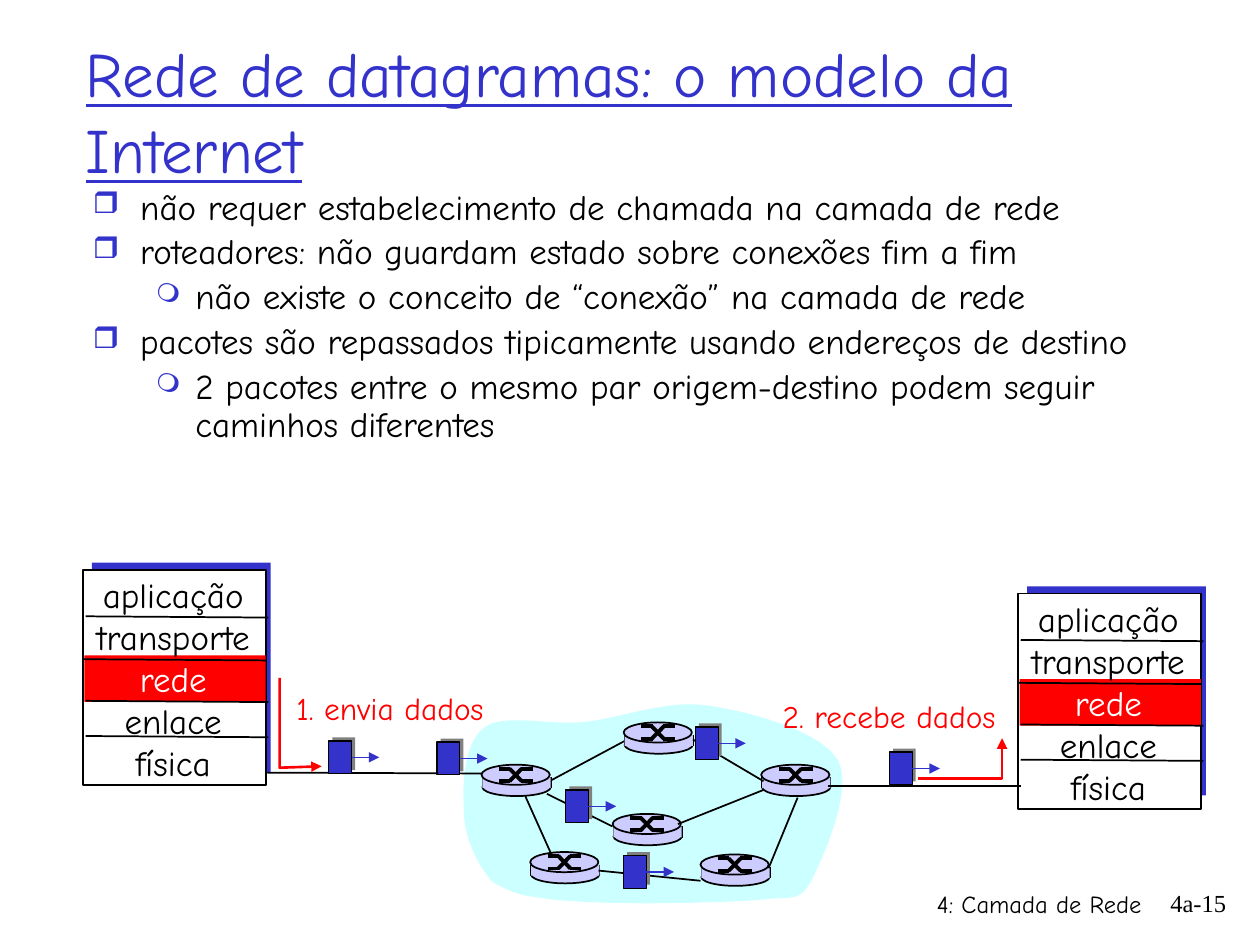
"""Build the slide about the datagram network model of the Internet."""
from lxml import etree
from pptx import Presentation
from pptx.dml.color import RGBColor
from pptx.enum.shapes import MSO_CONNECTOR, MSO_SHAPE
from pptx.enum.text import MSO_ANCHOR, MSO_AUTO_SIZE, PP_ALIGN
from pptx.oxml.ns import qn
from pptx.util import Pt

rgb = RGBColor.from_string
RECT, OVAL = MSO_SHAPE.RECTANGLE, MSO_SHAPE.OVAL
FONT = "Comic Neue"
BLACK, WHITE, BLUE, RED = "000000", "FFFFFF", "3333CC", "FF0000"
LILAC, CYAN, GRAY = "CCCCFF", "CCFFFF", "808080"


def box(shapes, kind, x, y, w, h, fill, width=0):
    sp = shapes.add_shape(kind, Pt(x), Pt(y), Pt(w), Pt(h))
    sp.shadow.inherit = False
    sp.fill.solid()
    sp.fill.fore_color.rgb = rgb(fill)
    if width:
        sp.line.color.rgb = rgb(BLACK)
        sp.line.width = Pt(width)
    else:
        sp.line.fill.background()
    return sp


def wire(shapes, points, color=BLACK, width=1, arrow=False):
    pts = [(Pt(x), Pt(y)) for x, y in points]
    if len(pts) == 2:
        sp = shapes.add_connector(MSO_CONNECTOR.STRAIGHT, *pts[0], *pts[1])
    else:
        fb = shapes.build_freeform(*pts[0])
        fb.add_line_segments(pts[1:], close=False)
        sp = fb.convert_to_shape()
        sp.fill.background()
    sp.line.color.rgb = rgb(color)
    sp.line.width = Pt(width)
    if arrow:
        ln = sp.line._get_or_add_ln()
        etree.SubElement(ln, qn("a:tailEnd"), type="triangle")
    etree.SubElement(sp._element.spPr, qn("a:effectLst"))
    return sp


prs = Presentation()
prs.slide_width, prs.slide_height = Pt(720), Pt(540)
s = prs.slides.add_slide(prs.slide_layouts[5])
shapes = s.shapes

title = shapes.title
title.left, title.top, title.width, title.height = Pt(41.8), Pt(18), Pt(648), Pt(90)
tf = title.text_frame
tf.text = "Rede de datagramas: o modelo da Internet"
tf.auto_size = MSO_AUTO_SIZE.NONE
tf.vertical_anchor = MSO_ANCHOR.MIDDLE
p = tf.paragraphs[0]
p.alignment = PP_ALIGN.LEFT
f = p.runs[0].font
f.name, f.size, f.underline = FONT, Pt(36), True
f.color.rgb = rgb(BLUE)

bullets = [
    (0, "não requer estabelecimento de chamada na camada de rede"),
    (0, "roteadores: não guardam estado sobre conexões fim a fim"),
    (1, "não existe o conceito de “conexão” na camada de rede"),
    (0, "pacotes são repassados tipicamente usando endereços de destino"),
    (1, "2 pacotes entre o mesmo par origem-destino podem seguir caminhos diferentes"),
]
marks = [(27, -27, "85000", "❒"), (58.5, -22.5, "75000", "❍")]
tf = shapes.add_textbox(Pt(46), Pt(105), Pt(629), Pt(179)).text_frame
tf.word_wrap = True
tf.text = "\n".join(text for level, text in bullets)
for i, (p, (level, text)) in enumerate(zip(tf.paragraphs, bullets)):
    left, indent, size, char = marks[level]
    p.level = level
    p.line_spacing = 0.9
    if i:
        p.space_before = Pt(4)
    pPr = p._p.get_or_add_pPr()
    pPr.set("marL", str(Pt(left)))
    pPr.set("indent", str(Pt(indent)))
    clr = etree.SubElement(pPr, qn("a:buClr"))
    etree.SubElement(clr, qn("a:srgbClr"), val=BLUE)
    etree.SubElement(pPr, qn("a:buSzPct"), val=size)
    etree.SubElement(pPr, qn("a:buChar"), char=char)
    f = p.runs[0].font
    f.name, f.size = FONT, Pt(20)
    f.color.rgb = rgb(BLACK)

cloud_start = (265, 460)
cloud_curves = [
    ((264.2, 445.7), (265.7, 423.4), (277.2, 415.4)),
    ((288.7, 407.5), (312.5, 414.7), (334.1, 412.6)),
    ((355, 410.4), (380.9, 399.6), (404.6, 403.2)),
    ((429.1, 406.8), (468.7, 417.6), (478.8, 434.2)),
    ((488.2, 450.7), (470.2, 490.3), (463.7, 503.3)),
    ((456.5, 516.2), (452.2, 511.9), (436.3, 514.1)),
    ((420.5, 515.5), (388.8, 516.2), (368.6, 516.2)),
    ((349.2, 516.2), (330.5, 515.5), (316.1, 514.1)),
    ((301, 511.9), (296.6, 512.6), (281.5, 504)),
    ((273.6, 495.4), (264.2, 478.1), cloud_start),
]
outline, a = [], cloud_start
for b, c, d in cloud_curves:
    for t in [k / 10 for k in range(1, 11)]:
        u = 1 - t
        outline.append([
            Pt(u**3 * a[n] + 3 * u * u * t * b[n] + 3 * u * t * t * c[n] + t**3 * d[n])
            for n in (0, 1)
        ])
    a = d
fb = shapes.build_freeform(Pt(cloud_start[0]), Pt(cloud_start[1]))
fb.add_line_segments(outline, close=True)
cloud = fb.convert_to_shape()
cloud.shadow.inherit = False
cloud.fill.solid()
cloud.fill.fore_color.rgb = rgb(CYAN)
cloud.line.fill.background()

wire(shapes, [(151.2, 441.5), (275.5, 442)])
wire(shapes, [(314, 446.4), (357, 423.4)])

routers = [(275.2, 437), (303, 486.9), (356.4, 412.8),
           (350.1, 465.1), (400.3, 488.3), (435, 437)]
for x, y in routers:
    g = shapes.add_group_shape().shapes
    box(g, OVAL, x + 0.5, y + 7.9, 39, 10, LILAC, 1)
    for side in (x + 0.5, x + 39.5):
        wire(g, [(side, y + 7.2), (side, y + 13.5)])
    box(g, RECT, x + 0.5, y + 7.2, 39, 6.3, LILAC)
    box(g, OVAL, x, y, 39, 11.5, LILAC, 1)
    for y1, y2 in ((y + 2.2, y + 9.4), (y + 9.4, y + 2.2)):
        wire(g, [(x + 10, y1), (x + 16.5, y1)], width=2.25)
        wire(g, [(x + 16, y1), (x + 23, y2)], width=2.25)
        wire(g, [(x + 22.5, y2), (x + 29.3, y2)], width=2.25)

links = [
    [(396, 422.6), (436.3, 446.4)],
    [(312.5, 453.6), (350, 472.3)],
    [(387.4, 470.9), (436.3, 451.4)],
    [(439.2, 496.1), (455.8, 455.8)],
    [(400.3, 503.3), (342, 497.5)],
    [(315.4, 488.9), (300.2, 455)],
]
for link in links:
    wire(shapes, link)

layers = ["aplicação", "transporte", "rede", "enlace", "física"]
for x, y in [(47.5, 325.6), (581.9, 339.1)]:
    g = shapes.add_group_shape().shapes
    box(g, RECT, x + 5, y - 4, 102.2, 119.5, BLUE)
    box(g, RECT, x, y, 104.4, 123.1, WHITE, 1)
    box(g, RECT, x + 0.7, y + 49, 103.7, 26.6, RED)
    tf = g.add_textbox(Pt(x - 10), Pt(y - 1.4), Pt(123), Pt(127.4)).text_frame
    tf.word_wrap = True
    tf.text = "\n".join(layers)
    for p in tf.paragraphs:
        p.alignment = PP_ALIGN.CENTER
        f = p.runs[0].font
        f.name, f.size = FONT, Pt(20)
        f.color.rgb = rgb(WHITE if p.text == "rede" else BLACK)
    for dx, dy in [(1.4, 26.6), (0, 51.1), (1.4, 74.9), (1.4, 95)]:
        wire(g, [(x + dx, y + dy), (x + dx + 104.4, y + dy + 0.7)])

wire(shapes, [(583.2, 449.3), (473, 449.3)])

labels = [
    ("1. envia dados", 158.4, 390.2, 128.9, 28.8, 18, FONT, RED, PP_ALIGN.CENTER),
    ("2. recebe dados", 434.2, 394.6, 147.6, 28.8, 18, FONT, RED, PP_ALIGN.CENTER),
    ("4: Camada de Rede", 431.3, 504.7, 228.2, 36, 14, FONT, BLACK, PP_ALIGN.RIGHT),
    ("4a-15", 643, 504, 64.8, 36, 14, "Times New Roman", BLACK, PP_ALIGN.RIGHT),
]
for text, x, y, w, h, size, font, color, align in labels:
    tf = shapes.add_textbox(Pt(x), Pt(y), Pt(w), Pt(h)).text_frame
    tf.word_wrap = color == BLACK
    tf.text = text
    p = tf.paragraphs[0]
    p.alignment = align
    f = p.runs[0].font
    f.name, f.size = font, Pt(size)
    f.color.rgb = rgb(color)

wire(shapes, [(159.8, 387.4), (159.8, 438.7), (183.8, 437.9)], RED, 1.5, True)
wire(shapes, [(524.6, 445), (572.6, 445), (572.6, 421.9)], RED, 1.5, True)

packets = [(187.9, 423.4), (249.8, 424.1), (397.4, 415.4),
           (356.4, 488.9), (323.3, 451.4), (508.3, 429.8)]
for x, y in packets:
    g = shapes.add_group_shape().shapes
    box(g, RECT, x + 2, y - 2, 13, 18.7, GRAY)
    packet = box(g, RECT, x, y, 13, 18.7, BLUE, 0.75)
    mid = y + 9.35
    arrow = wire(g, [(x + 13, mid), (x + 28.8, mid)], BLUE, 0.75, True)
    arrow.begin_connect(packet, 3)

prs.save("out.pptx")
